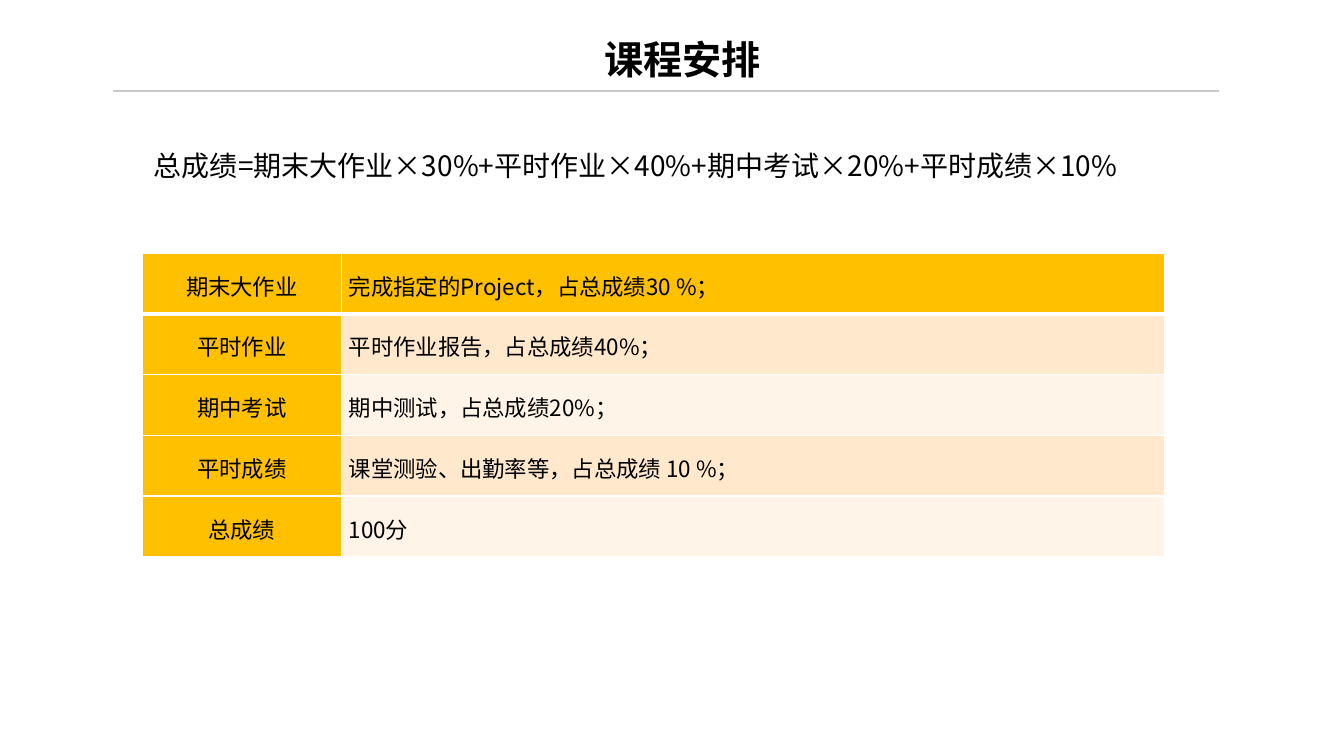
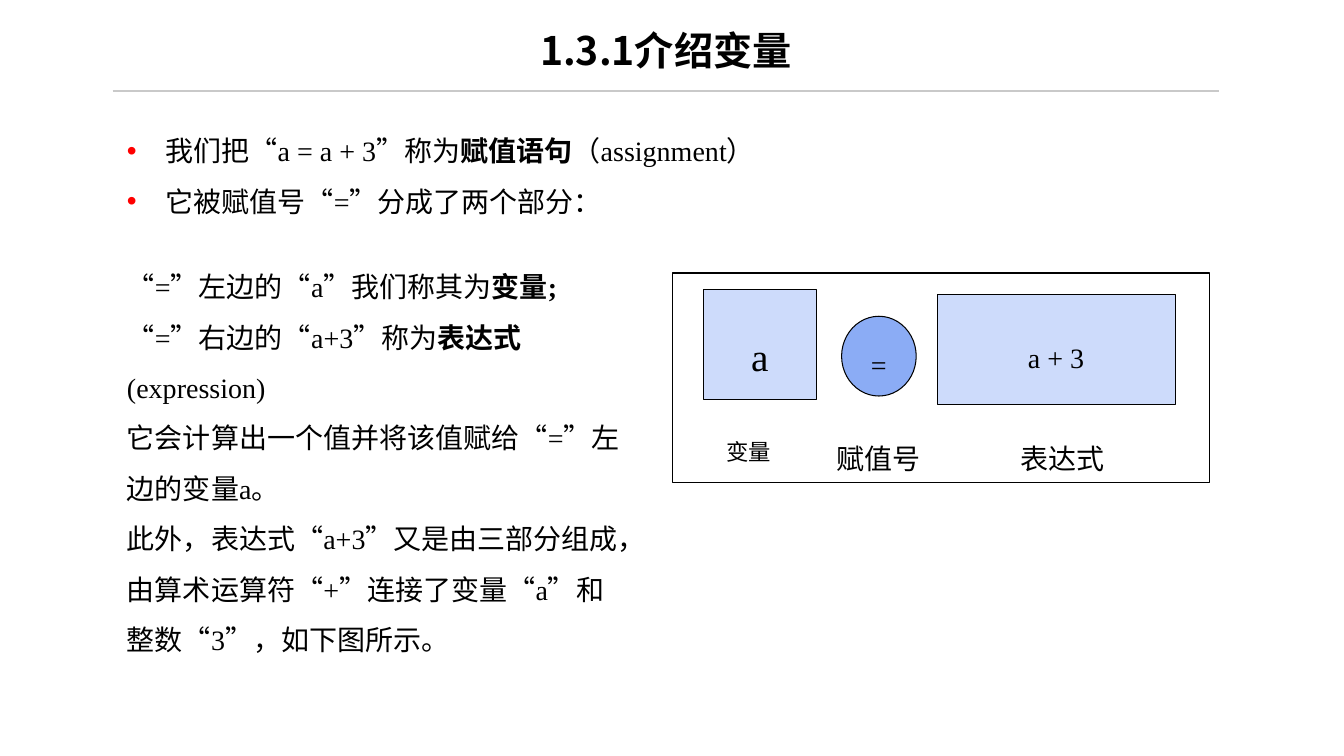
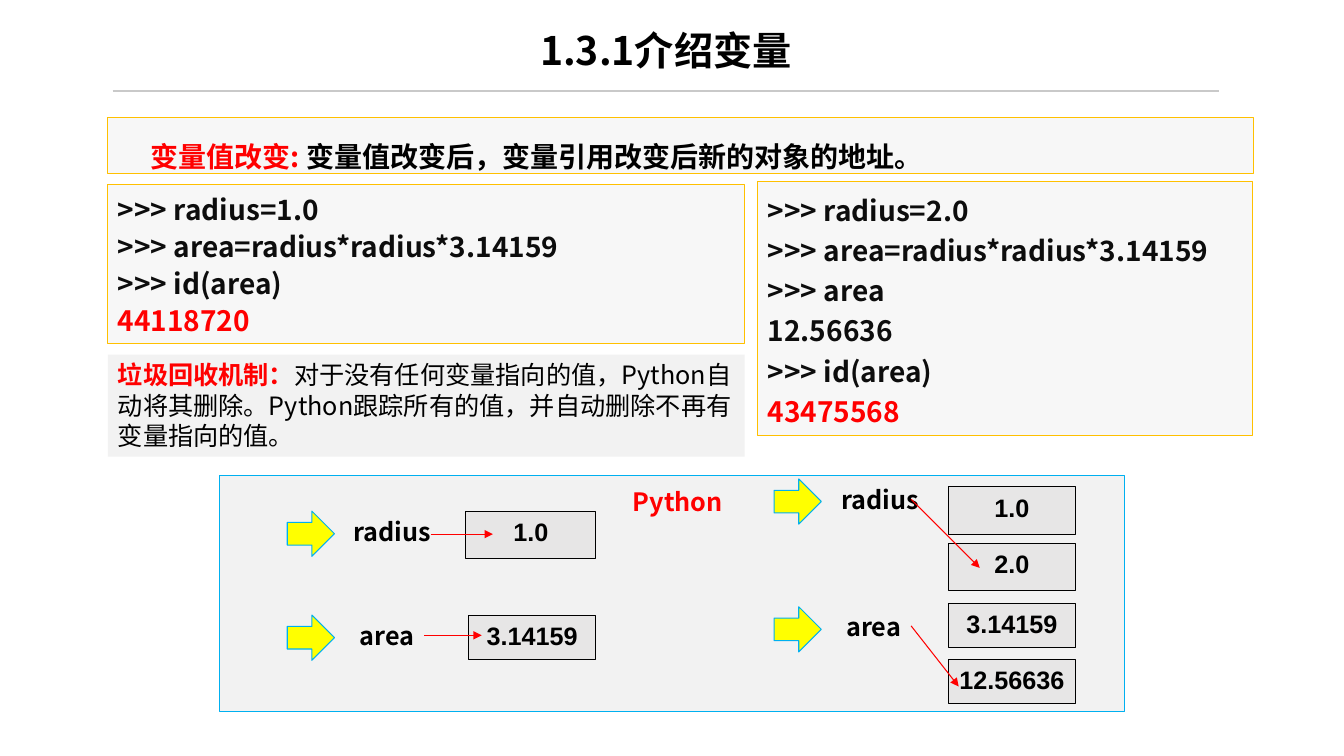
from lxml import etree
from pptx import Presentation
from pptx.dml.color import RGBColor
from pptx.enum.shapes import MSO_CONNECTOR, MSO_SHAPE
from pptx.enum.text import MSO_ANCHOR, PP_ALIGN
from pptx.oxml.ns import qn
from pptx.util import Cm, Pt

BLACK = RGBColor(0x00, 0x00, 0x00)
CODE_INK = RGBColor(0x0D, 0x0D, 0x0D)
WHITE = RGBColor(0xFF, 0xFF, 0xFF)
RED = RGBColor(0xFF, 0x00, 0x00)
GOLD = RGBColor(0xFF, 0xC0, 0x00)
YELLOW = RGBColor(0xFF, 0xFF, 0x00)
SKY = RGBColor(0x00, 0xB0, 0xF0)
RULE_GREY = RGBColor(0xC9, 0xC9, 0xC9)
PANEL_GREY = RGBColor(0xF2, 0xF2, 0xF2)
CODE_GREY = RGBColor(0xF7, 0xF7, 0xF7)
VALUE_GREY = RGBColor(0xE7, 0xE6, 0xE6)
PEACH = RGBColor(0xFF, 0xE8, 0xCC)
CREAM = RGBColor(0xFF, 0xF4, 0xE7)
PALE_BLUE = RGBColor(0xCD, 0xDB, 0xFB)
MID_BLUE = RGBColor(0x8B, 0xAC, 0xF5)

SANS = "Noto Sans CJK SC"
SERIF = "Times New Roman"
LABEL_FONT = "Calibri"
VALUE_FONT = "Arial"

LEFT, CENTER, JUSTIFY = PP_ALIGN.LEFT, PP_ALIGN.CENTER, PP_ALIGN.JUSTIFY
TOP, MIDDLE = MSO_ANCHOR.TOP, MSO_ANCHOR.MIDDLE
RECTANGLE, OVAL, ARROW = MSO_SHAPE.RECTANGLE, MSO_SHAPE.OVAL, MSO_SHAPE.RIGHT_ARROW
STRAIGHT = MSO_CONNECTOR.STRAIGHT


def write(frame, paragraphs, size, font=SANS, color=BLACK, bold=False,
          align=LEFT, spacing=1.0, bullet=False):
    frame.word_wrap = True
    for index, content in enumerate(paragraphs):
        paragraph = frame.paragraphs[0] if index == 0 else frame.add_paragraph()
        paragraph.alignment = align
        paragraph.line_spacing = spacing
        if bullet:
            add_bullet(paragraph)
        pieces = [(content, color, bold)] if isinstance(content, str) else content
        for text, run_color, run_bold in pieces:
            run = paragraph.add_run()
            run.text = text
            run.font.size = Pt(size)
            run.font.name = font
            run.font.bold = run_bold
            run.font.color.rgb = run_color
            east_asian = etree.Element(qn("a:ea"), typeface=SANS)
            run.font._element.find(qn("a:latin")).addnext(east_asian)


def add_bullet(paragraph):
    properties = paragraph._p.get_or_add_pPr()
    properties.set("marL", str(Cm(0.97)))
    properties.set("indent", str(-Cm(0.97)))
    bullet_color = etree.SubElement(properties, qn("a:buClr"))
    etree.SubElement(bullet_color, qn("a:srgbClr"), val=str(RED))
    etree.SubElement(properties, qn("a:buFont"), typeface=VALUE_FONT)
    etree.SubElement(properties, qn("a:buChar"), char="•")


def add_text(slide, left, top, width, height, paragraphs, size, **style):
    box = slide.shapes.add_textbox(Cm(left), Cm(top), Cm(width), Cm(height))
    write(box.text_frame, paragraphs, size, **style)
    return box


def add_box(slide, kind, left, top, width, height, fill=None, line=None,
            weight=0.75, anchor=TOP):
    shape = slide.shapes.add_shape(kind, Cm(left), Cm(top), Cm(width), Cm(height))
    shape.shadow.inherit = False
    shape.text_frame.vertical_anchor = anchor
    if fill is None:
        shape.fill.background()
    else:
        shape.fill.solid()
        shape.fill.fore_color.rgb = fill
    if line is None:
        shape.line.fill.background()
    else:
        shape.line.color.rgb = line
        shape.line.width = Pt(weight)
    return shape


def add_line(slide, x1, y1, x2, y2, color, weight, arrow=False):
    line = slide.shapes.add_connector(STRAIGHT, Cm(x1), Cm(y1), Cm(x2), Cm(y2))
    line.line.color.rgb = color
    line.line.width = Pt(weight)
    if arrow:
        etree.SubElement(line.line._get_or_add_ln(), qn("a:tailEnd"), type="triangle")
    etree.SubElement(line._element.spPr, qn("a:effectLst"))


def add_titled_slide(presentation, title, left=7.37, top=0.53, width=18.82, font=SANS):
    slide = presentation.slides.add_slide(presentation.slide_layouts[6])
    add_line(slide, 2.84, 2.29, 30.71, 2.29, RULE_GREY, 1)
    add_text(slide, left, top, width, 1.45, [title], 28,
             font=font, bold=True, align=CENTER)
    return slide


def set_borders(cell, bottom_weight):
    properties = cell._tc.get_or_add_tcPr()
    weights = {"a:lnL": 1, "a:lnR": 1, "a:lnT": 1, "a:lnB": bottom_weight}
    for index, (tag, weight) in enumerate(weights.items()):
        border = etree.Element(qn(tag), w=str(Pt(weight)))
        solid = etree.SubElement(border, qn("a:solidFill"))
        etree.SubElement(solid, qn("a:srgbClr"), val=str(WHITE))
        properties.insert(index, border)


def add_grade_table(slide, left, top):
    rows = [
        ("期末大作业", "完成指定的Project，占总成绩30 %；"),
        ("平时作业", "平时作业报告，占总成绩40%；"),
        ("期中考试", "期中测试，占总成绩20%；"),
        ("平时成绩", "课堂测验、出勤率等，占总成绩 10 %；"),
        ("总成绩", "100分"),
    ]
    widths, row_height = (5.03, 20.73), 1.53
    table = slide.shapes.add_table(
        len(rows), 2, Cm(left), Cm(top), Cm(sum(widths)), Cm(row_height * len(rows))).table
    for column, width in zip(table.columns, widths):
        column.width = Cm(width)
    for row_index, texts in enumerate(rows):
        table.rows[row_index].height = Cm(row_height)
        detail_fill = GOLD if row_index == 0 else (CREAM, PEACH)[row_index % 2]
        columns = zip(texts, (GOLD, detail_fill), (CENTER, JUSTIFY))
        for column_index, (text, fill, align) in enumerate(columns):
            cell = table.cell(row_index, column_index)
            cell.margin_left = cell.margin_right = Cm(0.18)
            cell.margin_top = cell.margin_bottom = 0
            cell.fill.solid()
            cell.fill.fore_color.rgb = fill
            set_borders(cell, 3 if row_index == 0 else 1)
            write(cell.text_frame, [text], 16, align=align, spacing=1.5)


def build_course_plan(presentation):
    slide = add_titled_slide(presentation, "课程安排", 11.58, 0.76, 11.23, SERIF)
    add_grade_table(slide, 3.58, 6.38)
    formula = "总成绩=期末大作业×30%+平时作业×40%+期中考试×20%+平时成绩×10%"
    add_text(slide, 3.63, 3.63, 24.94, 1.96, [formula], 20)


def add_assignment_diagram(slide, left, top):
    add_box(slide, RECTANGLE, left, top, 13.54, 5.28, line=BLACK, weight=0)
    parts = [
        (OVAL, 4.27, 1.09, 1.88, 2.01, MID_BLUE, 0, "=", 20),
        (RECTANGLE, 0.79, 0.41, 2.84, 2.77, PALE_BLUE, 0.5, "a", 28),
        (RECTANGLE, 6.68, 0.53, 5.99, 2.77, PALE_BLUE, 0.5, "a + 3", 20),
    ]
    for kind, x, y, width, height, fill, weight, text, size in parts:
        shape = add_box(slide, kind, left + x, top + y, width, height,
                        fill, BLACK, weight, MIDDLE)
        write(shape.text_frame, [text], size, font=SERIF, align=CENTER, spacing=1.5)
    labels = [(1.12, 2.41, "变量", 16), (3.89, 3.28, "赋值号", 20), (8.53, 3.61, "表达式", 20)]
    for x, width, text, size in labels:
        label = add_box(slide, RECTANGLE, left + x, top + 3.71, width, 1.14, WHITE)
        write(label.text_frame, [text], size, font=LABEL_FONT, align=JUSTIFY, spacing=1.5)


def build_assignment(presentation):
    slide = add_titled_slide(presentation, "1.3.1介绍变量")
    add_assignment_diagram(slide, 16.94, 6.88)
    add_text(slide, 2.95, 2.82, 25.53, 2.67, [
        [("我们把“a = a + 3”称为", BLACK, False), ("赋值语句", BLACK, True),
         ("（assignment）", BLACK, False)],
        "它被赋值号“=”分成了两个部分：",
    ], 20, font=SERIF, spacing=1.5, bullet=True)
    add_text(slide, 2.95, 6.25, 13.13, 9.09, [
        [("“=”左边的“a”我们称其为", BLACK, False), ("变量;", BLACK, True)],
        [("“=”右边的“a+3”称为", BLACK, False), ("表达式", BLACK, True),
         ("(expression)", BLACK, False)],
        "它会计算出一个值并将该值赋给“=”左边的变量a。",
        "此外，表达式“a+3”又是由三部分组成，由算术运算符“+”连接了变量“a”和整数“3”，如下图所示。",
    ], 20, font=SERIF, spacing=1.5)


def add_code(slide, left, top, width, height, lines, result, spacing):
    box = add_box(slide, RECTANGLE, left, top, width, height, CODE_GREY, GOLD)
    write(box.text_frame, lines + [[(result, RED, True)]], 20,
          color=CODE_INK, bold=True, spacing=spacing)


def add_reference(slide, left, top, name, name_x, values, value_size, pointer):
    add_box(slide, ARROW, left, top, 1.19, 1.14, YELLOW, SKY)
    add_text(slide, left + name_x, top, 2.59, 1.02, [name], 18, bold=True)
    for value, x, y in values:
        box = add_box(slide, RECTANGLE, left + x, top + y, *value_size, VALUE_GREY, BLACK)
        write(box.text_frame, [value], 18, font=VALUE_FONT, bold=True, align=CENTER)
    x1, y1, x2, y2 = pointer
    add_line(slide, left + x1, top + y1, left + x2, top + y2, RED, 0.75, arrow=True)


def add_memory_panel(slide, left, top):
    add_box(slide, RECTANGLE, left, top, 22.81, 5.94, PANEL_GREY, SKY)
    references = [
        (1.7, 0.89, "radius", 1.42, [("1.0", 4.5, 0)],
         (3.28, 1.19), (3.61, 0.58, 5.18, 0.58)),
        (1.7, 3.51, "area", 1.57, [("3.14159", 4.57, 0)],
         (3.2, 1.12), (3.45, 0.51, 4.9, 0.51)),
        (13.97, 0.08, "radius", 1.45, [("1.0", 4.39, 0.2), ("2.0", 4.39, 1.63)],
         (3.2, 1.19), (3.45, 0.51, 5.18, 2.24)),
        (13.97, 3.3, "area", 1.57, [("3.14159", 4.39, -0.08), ("12.56636", 4.39, 1.32)],
         (3.2, 1.12), (3.45, 0.48, 4.65, 2.01)),
    ]
    for x, y, *details in references:
        add_reference(slide, left + x, top + y, *details)
    add_text(slide, left + 10.16, top + 0.13, 3.53, 1.02, ["Python"], 18,
             color=RED, bold=True)


def build_value_change(presentation):
    slide = add_titled_slide(presentation, "1.3.1介绍变量")
    band = add_box(slide, RECTANGLE, 2.72, 2.97, 28.88, 1.4, CODE_GREY, GOLD)
    band.text_frame.margin_left = Cm(1.07)
    write(band.text_frame, [[
        ("变量值改变: ", RED, True),
        ("变量值改变后，变量引用改变后新的对象的地址。", BLACK, True),
    ]], 20, spacing=1.5)
    area_line = ">>> area=radius*radius*3.14159"
    add_code(slide, 2.72, 4.65, 16.05, 4.01,
             [">>> radius=1.0", area_line, ">>> id(area)"], "44118720", 1.1)
    add_code(slide, 19.1, 4.57, 12.47, 6.4,
             [">>> radius=2.0", area_line, ">>> area", "12.56636", ">>> id(area)"],
             "43475568", 1.2)
    note = add_box(slide, RECTANGLE, 2.72, 8.94, 16.05, 2.57, PANEL_GREY)
    write(note.text_frame, [[
        ("垃圾回收机制：", RED, True),
        ("对于没有任何变量指向的值，Python自动将其删除。"
         "Python跟踪所有的值，并自动删除不再有变量指向的值。", BLACK, False),
    ]], 18)
    add_memory_panel(slide, 5.54, 11.99)


def main():
    presentation = Presentation()
    presentation.slide_width = Cm(33.87)
    presentation.slide_height = Cm(19.05)
    build_course_plan(presentation)
    build_assignment(presentation)
    build_value_change(presentation)
    presentation.save("out.pptx")


if __name__ == "__main__":
    main()
